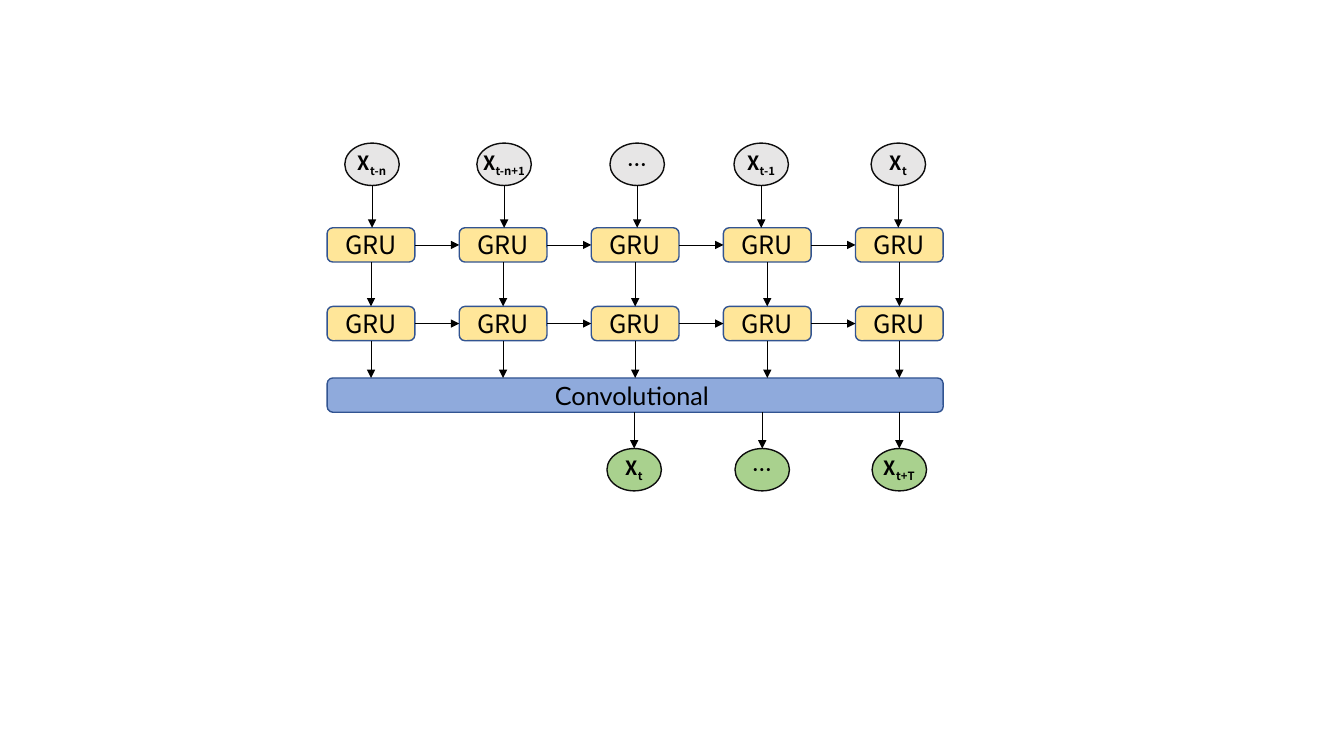
from lxml import etree
from pptx import Presentation
from pptx.dml.color import RGBColor
from pptx.enum.shapes import MSO_CONNECTOR, MSO_SHAPE
from pptx.enum.text import MSO_ANCHOR, PP_ALIGN
from pptx.oxml.ns import qn
from pptx.util import Inches, Pt

ELLIPSE, ROUNDED = MSO_SHAPE.OVAL, MSO_SHAPE.ROUNDED_RECTANGLE
STRAIGHT = MSO_CONNECTOR.STRAIGHT
MIDDLE, CENTER = MSO_ANCHOR.MIDDLE, PP_ALIGN.CENTER

# Content: (symbol, subscript) for each column
INPUTS = [("X", "t-n"), ("X", "t-n+1"), ("…", ""), ("X", "t-1"), ("X", "t")]
OUTPUTS = [("X", "t"), ("…", ""), ("X", "t+T")]
CELL_LABEL = "GRU"
LAYER_LABEL = "Convolutional\u00a0"

COLORS = {"input": "E7E6E6", "cell": "FFE699", "layer": "8FAADC", "output": "A9D18E",
          "node line": "0D0D0D", "box line": "325491", "ink": "000000"}
SYMBOL_FONT, LAYER_FONT = "Noto Sans CJK SC", "Lato"

# Grid, in inches
FIRST_CENTER, PITCH = 3.68, 1.31
CENTERS = [FIRST_CENTER + PITCH * column for column in range(len(INPUTS))]
NODE_CENTERS = [3.69, 5.0, 6.32, 7.55, 8.91]
OUTPUT_CENTERS = [6.29, 7.56, 8.92]
NODE_WIDTH, NODE_HEIGHT = 0.54, 0.42
BOX_WIDTH, BOX_HEIGHT = 0.87, 0.34
INPUT_TOP, CELL_TOPS, LAYER_TOP, OUTPUT_TOP = 1.42, (2.26, 3.04), 3.75, 4.45
LAYER_WIDTH = CENTERS[-1] - CENTERS[0] + BOX_WIDTH

presentation = Presentation()
presentation.slide_width, presentation.slide_height = Inches(13.33), Inches(7.5)
slide = presentation.slides.add_slide(presentation.slide_layouts[6])


def add_block(kind, center, top, width, height, fill, line, label, font, size, bold=False):
    """Add a labelled shape centred on a column; label is (text, subscript)."""
    shape = slide.shapes.add_shape(kind, Inches(center - width / 2), Inches(top),
                                   Inches(width), Inches(height))
    shape.shadow.inherit = False
    shape.fill.solid()
    shape.fill.fore_color.rgb = RGBColor.from_string(COLORS[fill])
    shape.line.color.rgb = RGBColor.from_string(COLORS[line])
    shape.line.width = Pt(1)
    frame = shape.text_frame
    frame.margin_left = frame.margin_right = frame.margin_top = frame.margin_bottom = 0
    frame.word_wrap = False
    frame.vertical_anchor = MIDDLE
    paragraph = frame.paragraphs[0]
    paragraph.alignment = CENTER
    paragraph.font.name, paragraph.font.size, paragraph.font.bold = font, Pt(size), bold
    paragraph.font.color.rgb = RGBColor.from_string(COLORS["ink"])
    text, subscript = label
    run = paragraph.add_run()
    run.text = text
    properties = run._r.get_or_add_rPr()
    etree.SubElement(properties, qn("a:ea")).set("typeface", font)
    if subscript:
        run = paragraph.add_run()
        run.text = subscript
        run._r.get_or_add_rPr().set("baseline", "-25000")


def add_node(center, top, fill, label):
    """Add a round input or output node."""
    add_block(ELLIPSE, center, top, NODE_WIDTH, NODE_HEIGHT, fill, "node line",
              label, SYMBOL_FONT, 14, bold=True)


def add_arrow(start_x, start_y, end_x, end_y):
    """Add a thin straight arrow."""
    arrow = slide.shapes.add_connector(STRAIGHT, Inches(start_x), Inches(start_y),
                                       Inches(end_x), Inches(end_y))
    arrow.line.color.rgb = RGBColor.from_string(COLORS["ink"])
    arrow.line.width = Pt(0.5)
    etree.SubElement(arrow.line._get_or_add_ln(), qn("a:tailEnd")).set("type", "triangle")
    etree.SubElement(arrow._element.spPr, qn("a:effectLst"))


# Blocks, row by row
for center, label in zip(NODE_CENTERS, INPUTS):
    add_node(center, INPUT_TOP, "input", label)
for top in CELL_TOPS:
    for center in CENTERS:
        add_block(ROUNDED, center, top, BOX_WIDTH, BOX_HEIGHT, "cell", "box line",
                  (CELL_LABEL, ""), SYMBOL_FONT, 18)
add_block(ROUNDED, (CENTERS[0] + CENTERS[-1]) / 2, LAYER_TOP, LAYER_WIDTH, BOX_HEIGHT,
          "layer", "box line", (LAYER_LABEL, ""), LAYER_FONT, 18)
for center, label in zip(OUTPUT_CENTERS, OUTPUTS):
    add_node(center, OUTPUT_TOP, "output", label)

# Arrows down the columns
DOWNWARD = [(NODE_CENTERS, INPUT_TOP + NODE_HEIGHT, CELL_TOPS[0]),
            (CENTERS, CELL_TOPS[0] + BOX_HEIGHT, CELL_TOPS[1]),
            (CENTERS, CELL_TOPS[1] + BOX_HEIGHT, LAYER_TOP),
            (OUTPUT_CENTERS, LAYER_TOP + BOX_HEIGHT, OUTPUT_TOP)]
for centers, start, end in DOWNWARD:
    for center in centers:
        add_arrow(center, start, center, end)

# Arrows along each recurrent row
for top in CELL_TOPS:
    middle = top + BOX_HEIGHT / 2
    for left, right in zip(CENTERS, CENTERS[1:]):
        add_arrow(left + BOX_WIDTH / 2, middle, right - BOX_WIDTH / 2, middle)

presentation.save("out.pptx")
